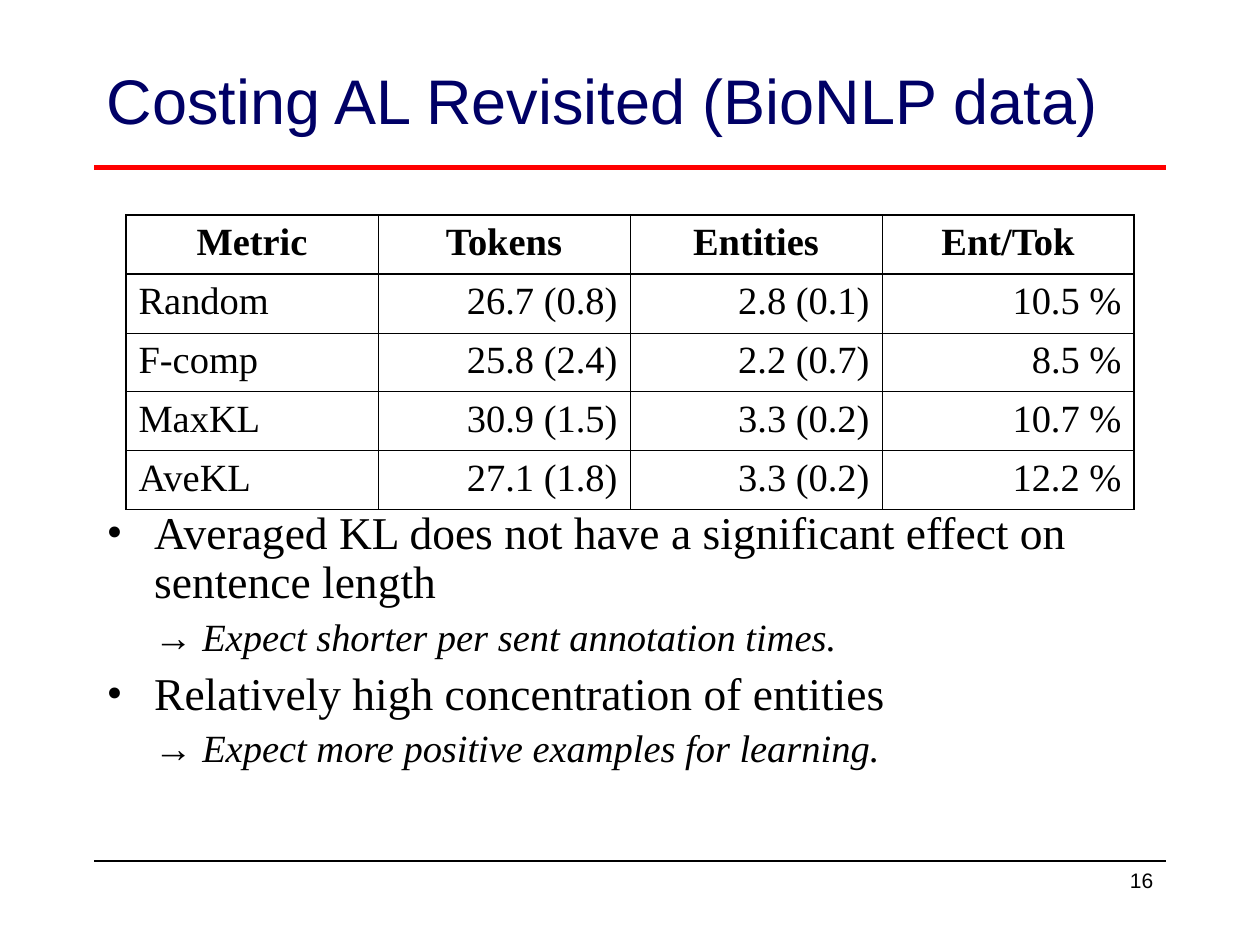
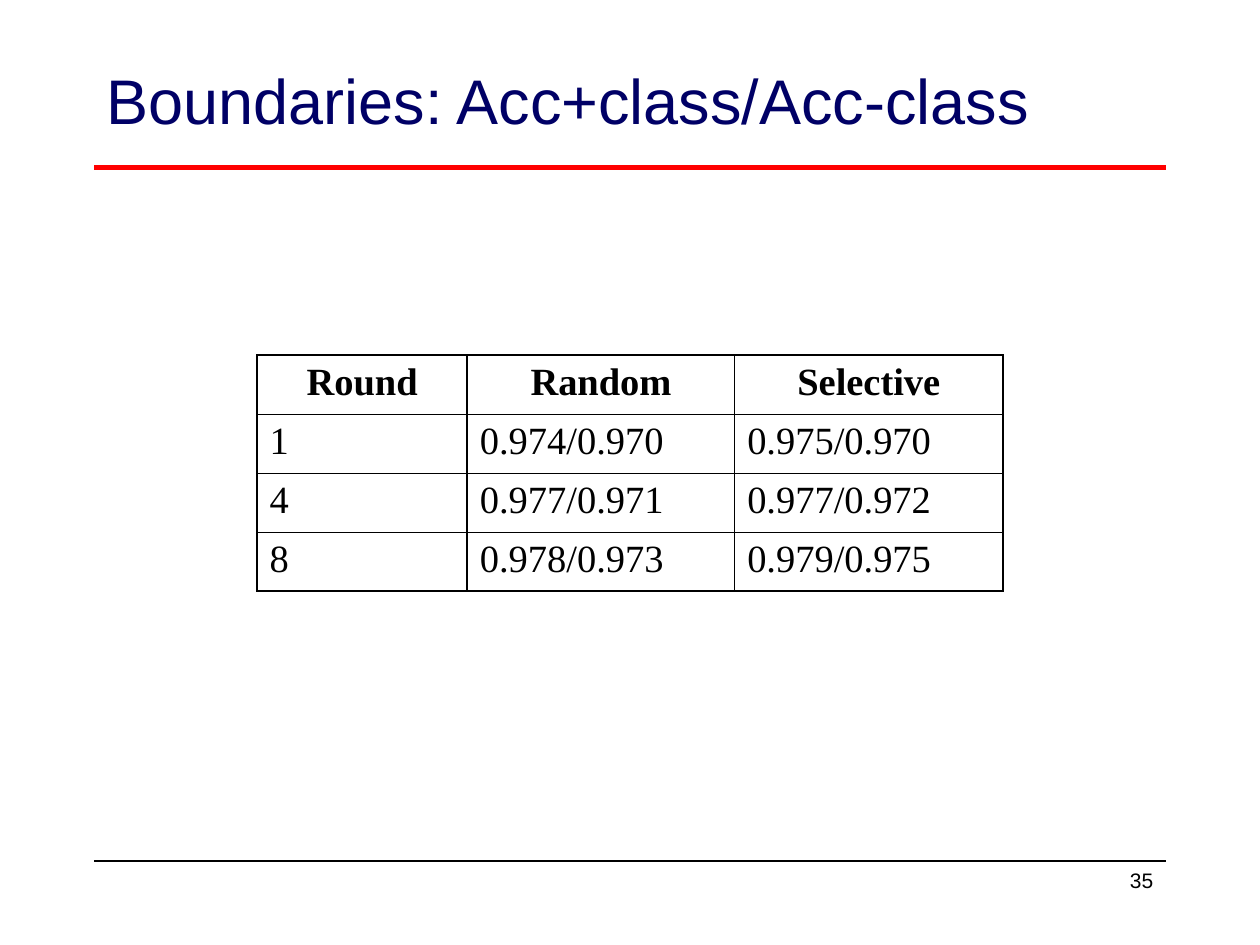
from dataclasses import dataclass

from lxml import etree
from pptx import Presentation
from pptx.dml.color import RGBColor
from pptx.enum import shapes, text
from pptx.oxml import ns
from pptx.util import Cm, Pt


@dataclass(frozen=True)
class Theme:
    navy: RGBColor = RGBColor(0, 0, 0x66)
    red: RGBColor = RGBColor(0xFF, 0, 0)
    black: RGBColor = RGBColor(0, 0, 0)
    sans: str = "Arial"
    serif: str = "Times New Roman"
    title_size: Pt = Pt(36)
    bullet_size: Pt = Pt(26)
    detail_size: Pt = Pt(22)
    number_size: Pt = Pt(12)
    title_rule: Pt = Pt(2.5)
    footer_rule: Pt = Pt(1.5)
    heavy_border: Pt = Pt(1.08)
    light_border: Pt = Pt(0.45)


theme = Theme()
left, right = text.PP_ALIGN.LEFT, text.PP_ALIGN.RIGHT


def style_font(paragraph, size, name=None, color=theme.black, bold=False, italic=False):
    font = paragraph.font
    font.size, font.bold, font.italic = size, bold, italic
    font.color.rgb = color
    if name:
        font.name = name


def add_text_frame(slide, x, y, width, height):
    frame = slide.shapes.add_textbox(Cm(x), Cm(y), Cm(width), Cm(height)).text_frame
    frame.word_wrap = True
    return frame


slide_contents = [
    {
        "title": "Costing AL Revisited (BioNLP data)",
        "number": "16",
        "position": (2.54, 4.34),
        "widths": [5.08] * 4,
        "row_height": 1.04,
        "alignments": [left, right, right, right],
        "heavy_rows": {0, 1, 5},
        "heavy_columns": {0, 4},
        "rows": [
            ["Metric", "Tokens", "Entities", "Ent/Tok"],
            ["Random", "26.7 (0.8)", "2.8 (0.1)", "10.5 %"],
            ["F-comp", "25.8 (2.4)", "2.2 (0.7)", "8.5 %"],
            ["MaxKL", "30.9 (1.5)", "3.3 (0.2)", "10.7 %"],
            ["AveKL", "27.1 (1.8)", "3.3 (0.2)", "12.2 %"],
        ],
        "findings": [
            ("Averaged KL does not have a significant effect on sentence length",
             "Expect shorter per sent annotation times."),
            ("Relatively high concentration of entities",
             "Expect more positive examples for learning."),
        ],
    },
    {
        "title": "Boundaries: Acc+class/Acc-class",
        "number": "35",
        "position": (5.18, 7.16),
        "widths": [4.24, 5.39, 5.41],
        "row_height": 1.19,
        "alignments": [left] * 3,
        "heavy_rows": {0, 4},
        "heavy_columns": {0, 1, 3},
        "rows": [
            ["Round", "Random", "Selective"],
            ["1", "0.974/0.970", "0.975/0.970"],
            ["4", "0.977/0.971", "0.977/0.972"],
            ["8", "0.978/0.973", "0.979/0.975"],
        ],
        "findings": [],
    },
]

presentation = Presentation()
presentation.slide_width = Cm(25.4)
presentation.slide_height = Cm(19.05)

for content in slide_contents:
    slide = presentation.slides.add_slide(presentation.slide_layouts[6])

    for y, color, width in [
        (17.36, theme.black, theme.footer_rule),
        (3.38, theme.red, theme.title_rule),
    ]:
        rule = slide.shapes.add_connector(
            shapes.MSO_CONNECTOR.STRAIGHT, Cm(1.9), Cm(y), Cm(23.5), Cm(y))
        rule.line.color.rgb = color
        rule.line.width = width
        etree.SubElement(rule._element.spPr, ns.qn("a:effectLst"))

    title_frame = add_text_frame(slide, 1.9, 0.42, 21.6, 3.18)
    title_frame.vertical_anchor = text.MSO_ANCHOR.MIDDLE
    title_frame.text = content["title"]
    style_font(title_frame.paragraphs[0], theme.title_size, theme.sans, theme.navy)

    rows, widths = content["rows"], content["widths"]
    x, y = content["position"]
    table = slide.shapes.add_table(
        len(rows), len(widths), Cm(x), Cm(y),
        Cm(sum(widths)), Cm(content["row_height"] * len(rows))).table
    table.first_row = table.horz_banding = False
    for column, width in zip(table.columns, widths):
        column.width = Cm(width)
    for row_index, values in enumerate(rows):
        table.rows[row_index].height = Cm(content["row_height"])
        for column_index, value in enumerate(values):
            cell = table.cell(row_index, column_index)
            cell.text = value
            paragraph = cell.text_frame.paragraphs[0]
            paragraph.space_before = Pt(5.5)
            is_header = row_index == 0
            paragraph.alignment = (
                text.PP_ALIGN.CENTER if is_header else content["alignments"][column_index])
            style_font(paragraph, theme.detail_size, theme.serif, bold=is_header)

            properties = cell._tc.get_or_add_tcPr()
            for side, is_heavy in [
                ("lnL", column_index in content["heavy_columns"]),
                ("lnR", column_index + 1 in content["heavy_columns"]),
                ("lnT", row_index in content["heavy_rows"]),
                ("lnB", row_index + 1 in content["heavy_rows"]),
            ]:
                border_width = theme.heavy_border if is_heavy else theme.light_border
                border = etree.SubElement(properties, ns.qn(f"a:{side}"), w=str(int(border_width)))
                fill = etree.SubElement(border, ns.qn("a:solidFill"))
                etree.SubElement(fill, ns.qn("a:srgbClr"), val=str(theme.black))
            cell.fill.background()

    if content["findings"]:
        findings_frame = add_text_frame(slide, 1.9, 10.16, 21.6, 6.35)
        for index, (finding, expectation) in enumerate(content["findings"]):
            bullet = findings_frame.add_paragraph() if index else findings_frame.paragraphs[0]
            detail = findings_frame.add_paragraph()
            for paragraph, space, indent in [(bullet, 6.5, -0.96), (detail, 5.5, 0)]:
                paragraph.line_spacing = 0.9
                paragraph.space_before = Pt(space)
                properties = paragraph._p.get_or_add_pPr()
                properties.set("marL", str(Cm(0.96)))
                properties.set("indent", str(Cm(indent)))

            properties = bullet._p.get_or_add_pPr()
            bullet_color = etree.SubElement(properties, ns.qn("a:buClr"))
            etree.SubElement(bullet_color, ns.qn("a:srgbClr"), val=str(theme.black))
            etree.SubElement(properties, ns.qn("a:buFont"), typeface=theme.serif)
            etree.SubElement(properties, ns.qn("a:buChar"), char="•")
            bullet.add_run().text = finding
            style_font(bullet, theme.bullet_size, theme.serif)

            style_font(detail, theme.detail_size, italic=True)
            for words, font_name in [("→", theme.sans), (f" {expectation}", theme.serif)]:
                run = detail.add_run()
                run.text = words
                run.font.name = font_name

    number_frame = add_text_frame(slide, 18.21, 17.36, 5.29, 1.27)
    number_frame.text = content["number"]
    number_frame.paragraphs[0].alignment = right
    style_font(number_frame.paragraphs[0], theme.number_size, theme.sans)

presentation.save("out.pptx")
